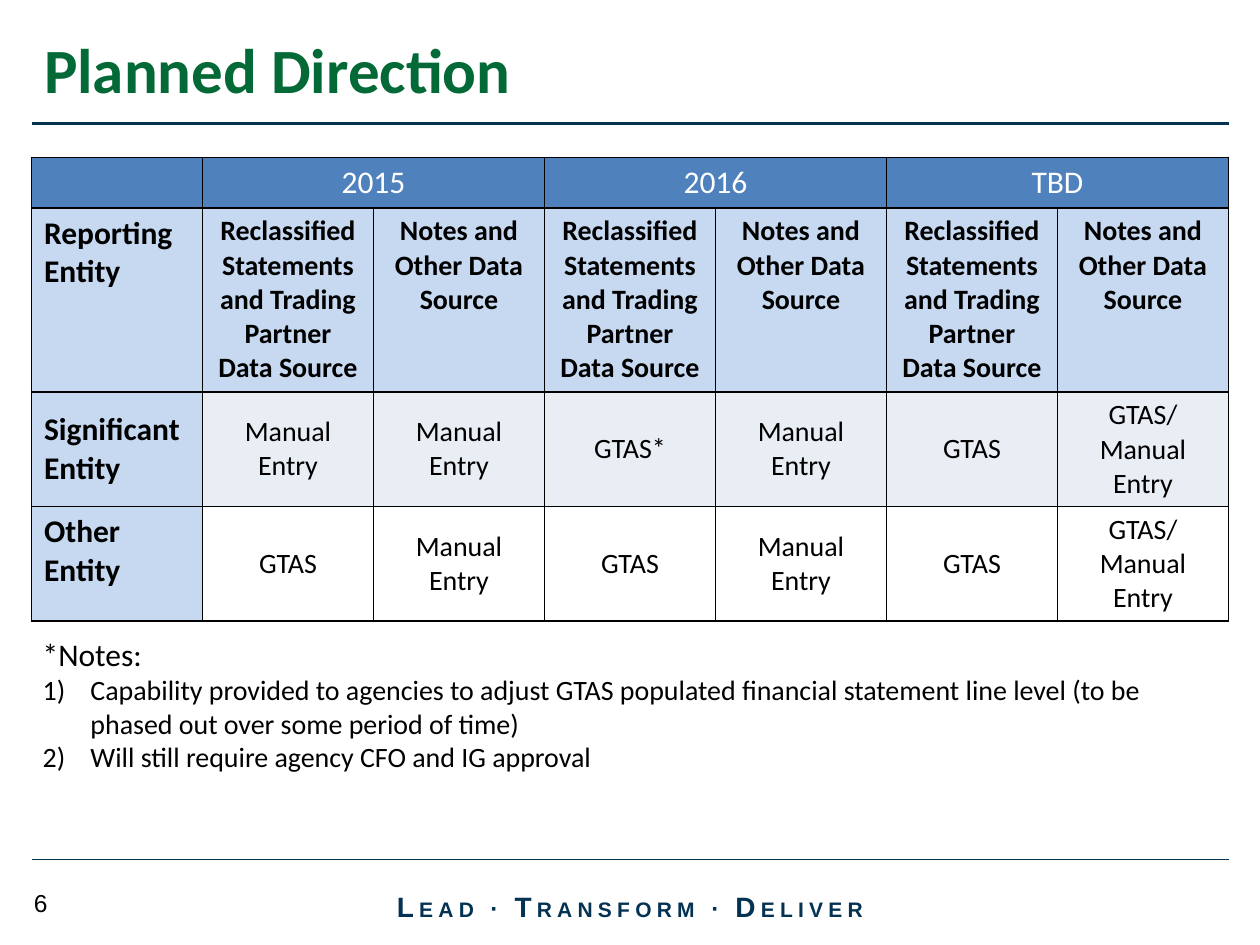
import pptx
import pptx.util
import pptx.dml.color
import pptx.enum.shapes
import pptx.enum.text
import pptx.oxml
import pptx.oxml.ns

Inches = pptx.util.Inches
ALIGN = pptx.enum.text.PP_ALIGN
ANCHOR = pptx.enum.text.MSO_ANCHOR
COLORS = {
    "navy": "043253", "green": "036A37", "black": "000000", "white": "FFFFFF",
    "header": "4F81BD", "label": "C6D9F1", "band": "E9EDF4",
}
LEFT, WIDTH = 0.25, 9.5


def rgb(name):
    return pptx.dml.color.RGBColor.from_string(COLORS[name])


def add_xml(parent, tag, attributes=None):
    child = parent.makeelement(pptx.oxml.ns.qn(tag), attributes or {})
    parent.append(child)
    return child


def add_span(para, text, size, color="black", font="Calibri", bold=False):
    span = para.add_run()
    span.text = text
    values = {"size": pptx.util.Pt(size), "name": font, "bold": bold}
    for name, value in values.items():
        setattr(span.font, name, value)
    span.font.color.rgb = rgb(color)
    return span


def add_box(page, left, top, width, height, anchor=ANCHOR.TOP):
    box = page.shapes.add_textbox(*map(Inches, (left, top, width, height)))
    box.text_frame.word_wrap = True
    box.text_frame.vertical_anchor = anchor
    return box.text_frame


def add_rule(page, top, weight):
    rule = page.shapes.add_connector(
        pptx.enum.shapes.MSO_CONNECTOR.STRAIGHT,
        Inches(LEFT), Inches(top), Inches(LEFT + WIDTH), Inches(top))
    rule.line.color.rgb = rgb("navy")
    rule.line.width = pptx.util.Pt(weight)
    add_xml(rule._element.spPr, "a:effectLst")


def add_title(page, text):
    title = page.shapes.title
    place = {"left": LEFT, "top": 0.17, "width": WIDTH, "height": 0.75}
    for name, value in place.items():
        setattr(title, name, Inches(value))
    title.text_frame.vertical_anchor = ANCHOR.MIDDLE
    para = title.text_frame.paragraphs[0]
    para.alignment = ALIGN.LEFT
    add_span(para, text, 36, "green", bold=True)


def add_motto(page, words):
    para = add_box(page, 2.83, 6.99, 4.34, 0.4, ANCHOR.MIDDLE).paragraphs[0]
    para.alignment = ALIGN.CENTER
    pieces = []
    for index, word in enumerate(words):
        last = index == len(words) - 1
        pieces += [(word[0], 16), (word[1:] + ("" if last else " "), 12)]
        if not last:
            pieces.append(("\u2219 ", 14))
    for text, size in pieces:
        span = add_span(para, text, size, "navy", "Arial", True)
        span.font._element.set("spc", "300")


def set_borders(cell):
    properties = cell._tc.get_or_add_tcPr()
    for index, tag in enumerate(("a:lnL", "a:lnR", "a:lnT", "a:lnB")):
        line = properties.makeelement(pptx.oxml.ns.qn(tag), {"w": "12700"})
        properties.insert(index, line)
        add_xml(add_xml(line, "a:solidFill"), "a:srgbClr", {"val": COLORS["black"]})


def format_cell(cell, text, size, fill, color="black", bold=False,
                align=ALIGN.CENTER, anchor=ANCHOR.TOP):
    if fill:
        cell.fill.solid()
        cell.fill.fore_color.rgb = rgb(fill)
    else:
        cell.fill.background()
    set_borders(cell)
    cell.vertical_anchor = anchor
    para = cell.text_frame.paragraphs[0]
    para.alignment = align
    if text:
        add_span(para, text, size, color, bold=bold)


def add_plan_table(page):
    years = ["2015", "2016", "TBD"]
    sources = ["Reclassified Statements and Trading Partner Data Source",
               "Notes and Other Data Source"]
    manual, mixed = "Manual Entry", "GTAS/ Manual Entry"
    rows = [
        ["", *(text for year in years for text in (year, ""))],
        ["Reporting Entity", *sources * len(years)],
        ["Significant Entity", manual, manual, "GTAS*", manual, "GTAS", mixed],
        ["Other Entity", "GTAS", manual, "GTAS", manual, "GTAS", mixed],
    ]
    heights = [0.4, 1.46, 0.91, 0.91]
    fills = ["header", "label", "band", None]
    count = len(rows[0])
    table = page.shapes.add_table(
        len(rows), count, Inches(LEFT), Inches(1.25),
        Inches(WIDTH), Inches(sum(heights))).table
    table.first_row = table.horz_banding = False
    for column in table.columns:
        column.width = Inches(WIDTH / count)

    for row, texts in enumerate(rows):
        table.rows[row].height = Inches(heights[row])
        for column, text in enumerate(texts):
            style = {"size": 16, "fill": fills[row]}
            if row == 0:
                style.update(size=18, color="white")
            elif column == 0:
                style.update(size=18, fill="label", bold=True, align=ALIGN.LEFT)
                if row == 2:
                    style["anchor"] = ANCHOR.MIDDLE
            elif row == 1:
                style["bold"] = True
            else:
                style["anchor"] = ANCHOR.MIDDLE
            format_cell(table.cell(row, column), text, **style)
    # Each year spans its two source columns
    for column in range(1, count, 2):
        table.cell(0, column).merge(table.cell(0, column + 1))


def add_notes_list(page, heading, notes):
    frame = add_box(page, 0.24, 4.99, WIDTH, 1.21)
    add_span(frame.paragraphs[0], heading, 18)
    for note in notes:
        para = frame.add_paragraph()
        add_span(para, note, 16)
        properties = para._p.get_or_add_pPr()
        indent = Inches(0.38)
        properties.set("marL", str(indent))
        properties.set("indent", str(-indent))
        add_xml(properties, "a:buFont", {"typeface": "+mj-lt"})
        add_xml(properties, "a:buAutoNum", {"type": "arabicParenR"})


def main():
    deck = pptx.Presentation()
    deck.slide_width, deck.slide_height = Inches(10), Inches(7.5)
    page = deck.slides.add_slide(deck.slide_layouts[5])

    # Frame of the page
    add_rule(page, 6.82, 0.75)
    add_motto(page, ["LEAD", "TRANSFORM", "DELIVER"])
    add_rule(page, 0.98, 2.25)
    number = add_box(page, 0.17, 7, 1.25, 0.33)
    add_span(number.paragraphs[0], "6", 14, font="Arial")

    # Content
    add_plan_table(page)
    add_title(page, "Planned Direction")
    add_notes_list(page, "*Notes:", [
        "Capability provided to agencies to adjust GTAS populated financial "
        "statement line level (to be phased out over some period of time)",
        "Will still require agency CFO and IG approval",
    ])
    deck.save("out.pptx")


main()
